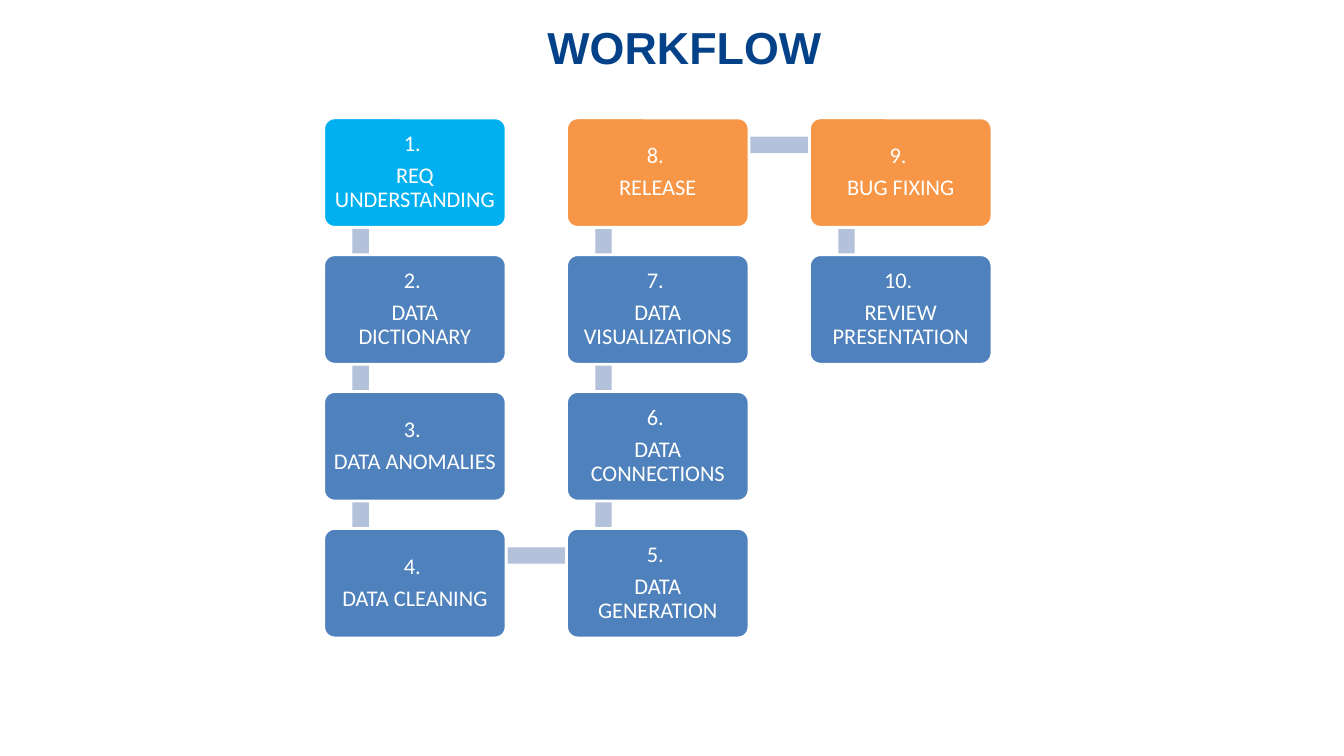
from pptx import Presentation
from pptx.dml.color import RGBColor
from pptx.enum.shapes import MSO_SHAPE
from pptx.enum.text import MSO_ANCHOR, PP_ALIGN
from pptx.util import Pt

NAVY = RGBColor(0x03, 0x42, 0x88)
CYAN = RGBColor(0x00, 0xB0, 0xF0)
BLUE = RGBColor(0x4F, 0x81, 0xBD)
ORANGE = RGBColor(0xF7, 0x96, 0x46)
PALE_BLUE = RGBColor(0xB3, 0xC1, 0xDB)
WHITE = RGBColor(0xFF, 0xFF, 0xFF)

# Content: label and card colour, in workflow order
TITLE = "WORKFLOW"
STEPS = [
    ("REQ UNDERSTANDING", CYAN),
    ("DATA DICTIONARY", BLUE),
    ("DATA ANOMALIES", BLUE),
    ("DATA CLEANING", BLUE),
    ("DATA GENERATION", BLUE),
    ("DATA CONNECTIONS", BLUE),
    ("DATA VISUALIZATIONS", BLUE),
    ("RELEASE", ORANGE),
    ("BUG FIXING", ORANGE),
    ("REVIEW PRESENTATION", BLUE),
]

# Layout in points
ROWS = 4
GRID_LEFT, GRID_TOP = 231.2, 84.2
CARD_WIDTH, CARD_HEIGHT = 130.3, 78.2
COLUMN_STEP, ROW_STEP = 173.5, 97.75
ANCHOR_X, ANCHOR_Y = 26.4, 19.3
BAR_THICKNESS = 11.7

TITLE_FONT = {"name": "Arial", "size": Pt(32), "bold": True}
CARD_FONT = {"name": "Calibri", "size": Pt(16)}
TITLE_PARAGRAPH = {"alignment": PP_ALIGN.CENTER}
CARD_PARAGRAPH = {"alignment": PP_ALIGN.CENTER, "line_spacing": 0.9,
                  "space_after": Pt(5.6)}
TITLE_FRAME = {"word_wrap": True, "vertical_anchor": MSO_ANCHOR.TOP,
               "margin_left": Pt(9.6), "margin_right": Pt(9.6),
               "margin_top": Pt(13.9), "margin_bottom": Pt(0)}
CARD_FRAME = {"word_wrap": True, "vertical_anchor": MSO_ANCHOR.MIDDLE,
              "margin_left": Pt(4.9), "margin_right": Pt(4.9),
              "margin_top": Pt(4.9), "margin_bottom": Pt(4.9)}


def apply_format(target, values):
    for name, value in values.items():
        setattr(target, name, value)


def write_text(shape, lines, frame_format, paragraph_format, font_format, color):
    frame = shape.text_frame
    apply_format(frame, frame_format)
    frame.text = "\n".join(lines)
    for paragraph in frame.paragraphs:
        apply_format(paragraph, paragraph_format)
        for run in paragraph.runs:
            apply_format(run.font, font_format)
            run.font.color.rgb = color


def add_filled(slide, kind, left, top, width, height, color):
    shape = slide.shapes.add_shape(kind, Pt(left), Pt(top), Pt(width), Pt(height))
    shape.shadow.inherit = False
    shape.fill.solid()
    shape.fill.fore_color.rgb = color
    shape.line.fill.background()
    return shape


def card_position(index):
    """Columns run down, then up, then down again."""
    column, row = divmod(index, ROWS)
    if column % 2:
        row = ROWS - 1 - row
    return GRID_LEFT + column * COLUMN_STEP, GRID_TOP + row * ROW_STEP


def add_bar(slide, start, end):
    """Bar from one card's anchor point to the next one's."""
    left = min(start[0], end[0]) + ANCHOR_X
    top = min(start[1], end[1]) + ANCHOR_Y
    width, height = abs(end[0] - start[0]), abs(end[1] - start[1])
    if width > height:
        top, height = top - BAR_THICKNESS / 2, BAR_THICKNESS
    else:
        left, width = left - BAR_THICKNESS / 2, BAR_THICKNESS
    add_filled(slide, MSO_SHAPE.RECTANGLE, left, top, width, height, PALE_BLUE)


def add_card(slide, position, number, label, color):
    card = add_filled(slide, MSO_SHAPE.ROUNDED_RECTANGLE, *position,
                      CARD_WIDTH, CARD_HEIGHT, color)
    card.adjustments[0] = 0.1
    card.line.color.rgb = WHITE
    card.line.width = Pt(2)
    write_text(card, [f"{number}. ", label], CARD_FRAME, CARD_PARAGRAPH,
               CARD_FONT, WHITE)


def main():
    presentation = Presentation()
    presentation.slide_width, presentation.slide_height = Pt(960), Pt(540)
    slide = presentation.slides.add_slide(presentation.slide_layouts[6])

    # Title
    title = slide.shapes.add_textbox(Pt(41.8), Pt(0), Pt(894.2), Pt(52.6))
    write_text(title, [TITLE], TITLE_FRAME, TITLE_PARAGRAPH, TITLE_FONT, NAVY)

    # Bars first, so that the cards cover their ends
    positions = [card_position(index) for index in range(len(STEPS))]
    for start, end in zip(positions, positions[1:]):
        add_bar(slide, start, end)

    # Cards
    for number, (position, (label, color)) in enumerate(zip(positions, STEPS), 1):
        add_card(slide, position, number, label, color)

    presentation.save("out.pptx")


if __name__ == "__main__":
    main()
